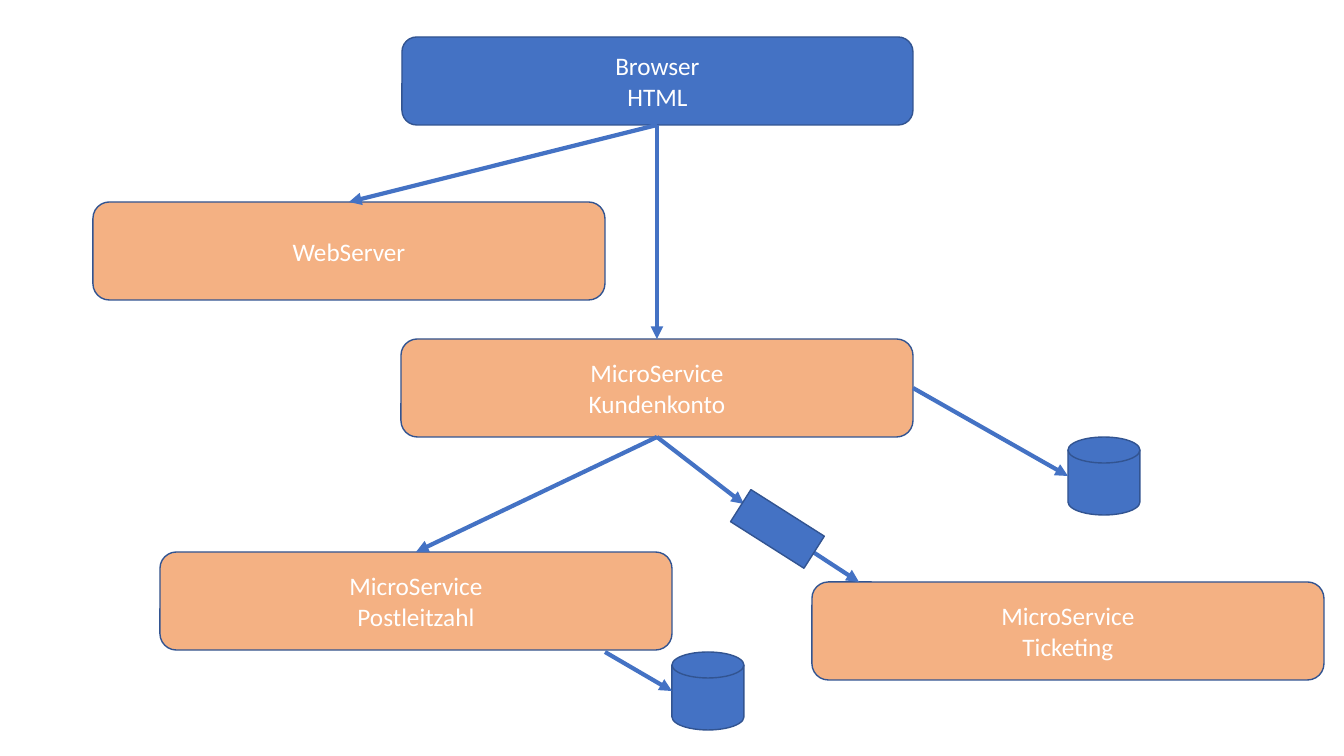
from lxml import etree
from pptx import Presentation
from pptx import util as u
from pptx.dml.color import RGBColor
from pptx.enum import shapes, text
from pptx.oxml import ns

EMU_PER_PIXEL = 914400 / 100.8
BLUE = RGBColor(0x44, 0x72, 0xC4)
OUTLINE = RGBColor(0x32, 0x54, 0x91)
ORANGE = RGBColor(0xF4, 0xB1, 0x83)
WHITE = RGBColor(0xFF, 0xFF, 0xFF)
SERVICE_WIDTH, SERVICE_HEIGHT = 512, 98
DATABASE_WIDTH, DATABASE_HEIGHT = 72, 78


def px(pixels):
    return u.Emu(round(pixels * EMU_PER_PIXEL))


def add_block(slide, kind, bounds, fill):
    block = slide.shapes.add_shape(kind, *map(px, bounds))
    block.shadow.inherit = False
    block.fill.solid()
    block.fill.fore_color.rgb = fill
    block.line.color.rgb = OUTLINE
    block.line.width = u.Pt(1)
    return block


def add_node(slide, label, left, top, width=SERVICE_WIDTH, height=SERVICE_HEIGHT, fill=ORANGE):
    node = add_block(slide, shapes.MSO_SHAPE.ROUNDED_RECTANGLE, (left, top, width, height), fill)
    frame = node.text_frame
    frame.word_wrap = True
    frame.vertical_anchor = text.MSO_ANCHOR.MIDDLE
    paragraph = frame.paragraphs[0]
    paragraph.text = label
    paragraph.alignment = text.PP_ALIGN.CENTER
    for run in paragraph.runs:
        run.font.name = "Calibri"
        run.font.size = u.Pt(18)
        run.font.color.rgb = WHITE


def add_database(slide, left, top):
    bounds = (left, top, DATABASE_WIDTH, DATABASE_HEIGHT)
    add_block(slide, shapes.MSO_SHAPE.FLOWCHART_MAGNETIC_DISK, bounds, BLUE)


def add_queue(slide, left, top, width, height, angle):
    queue = add_block(slide, shapes.MSO_SHAPE.RECTANGLE, (left, top, width, height), BLUE)
    queue.rotation = angle


def add_arrow(slide, start, end):
    arrow = slide.shapes.add_connector(shapes.MSO_CONNECTOR.STRAIGHT, *map(px, start + end))
    arrow.line.color.rgb = BLUE
    arrow.line.width = u.Pt(3)
    etree.SubElement(arrow.line._get_or_add_ln(), ns.qn("a:tailEnd"), type="triangle")
    etree.SubElement(arrow._element.spPr, ns.qn("a:effectLst"))


def main():
    deck = Presentation()
    deck.slide_width, deck.slide_height = px(1344), px(756)
    slide = deck.slides.add_slide(deck.slide_layouts[6])

    add_node(slide, "Browser\nHTML", 402, 37, 511, 88, BLUE)
    for label, left, top in (
        ("MicroService\nKundenkonto", 401, 339),
        ("MicroService\nPostleitzahl", 160, 552),
        ("WebServer", 93, 202),
        ("MicroService\nTicketing", 812, 582),
    ):
        add_node(slide, label, left, top)

    for left, top in ((1068, 437), (672, 652)):
        add_database(slide, left, top)

    browser_exit = (657, 125)
    account_exit = (657, 437)
    for start, end in (
        (browser_exit, (657, 339)),
        (browser_exit, (349, 202)),
        (account_exit, (416, 552)),
        (account_exit, (744, 504)),
        ((913, 388), (1068, 476)),
        ((605, 652), (672, 691)),
        ((813, 552), (859, 582)),
    ):
        add_arrow(slide, start, end)
    add_queue(slide, 734, 510, 87, 38, 32.4)

    deck.save("out.pptx")


main()
